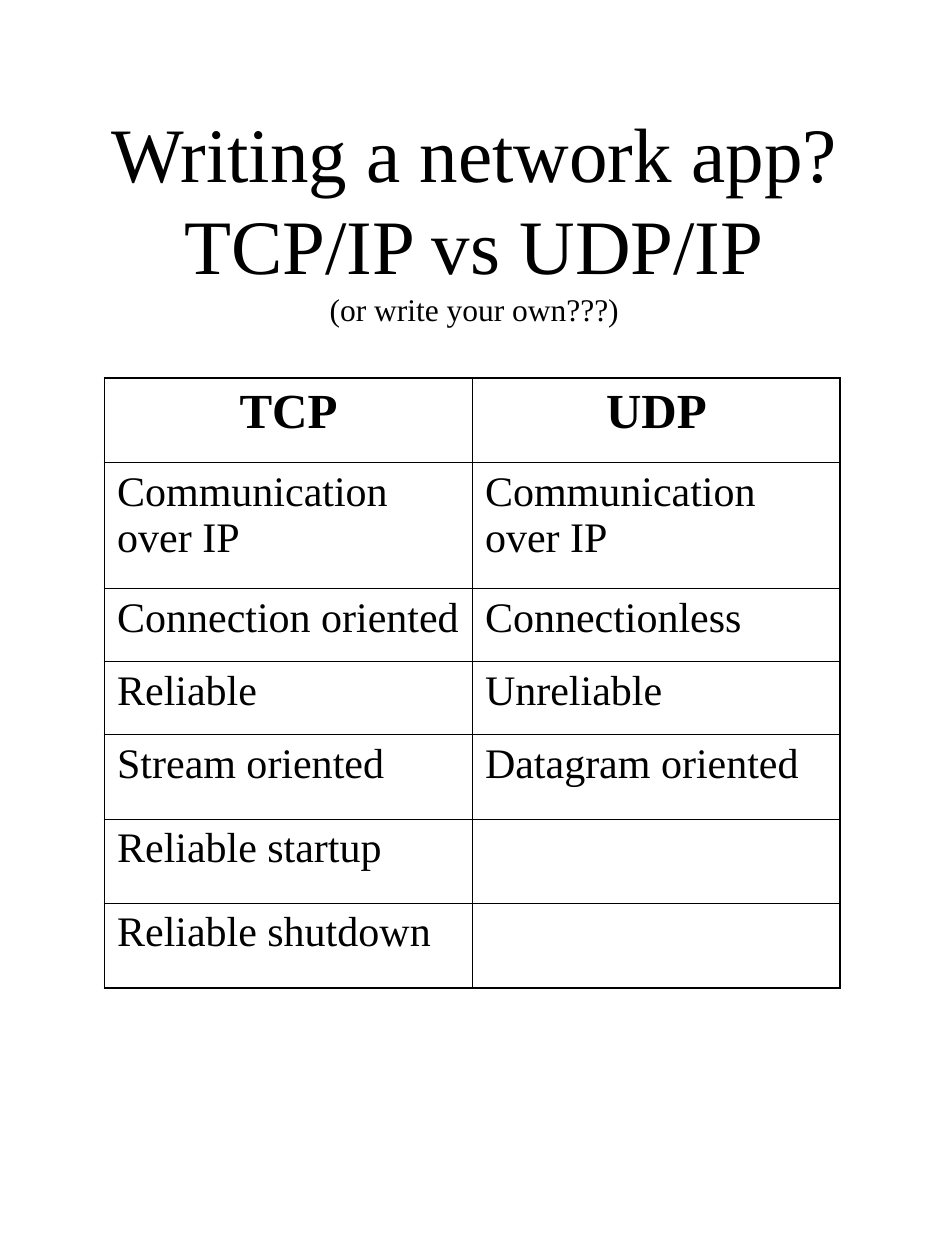
from lxml import etree
from pptx import Presentation
from pptx.dml.color import RGBColor
from pptx.enum.text import MSO_ANCHOR, PP_ALIGN
from pptx.oxml.ns import qn
from pptx.util import Inches, Pt

CENTER = PP_ALIGN.CENTER
LEFT = PP_ALIGN.LEFT
MIDDLE = MSO_ANCHOR.MIDDLE
BLACK = RGBColor(0, 0, 0)
FONT = "Times New Roman"
INNER_LINE = 0.45
OUTER_LINE = 1.08
BOTTOM_LINE = 1.47
COLUMN_WIDTH = 2.92
ROW_HEIGHTS = [0.67, 1, 0.58, 0.58, 0.67, 0.67, 0.67]
COMPARISON = [
    ("TCP", "UDP"),
    ("Communication over IP", "Communication over IP"),
    ("Connection oriented", "Connectionless"),
    ("Reliable", "Unreliable"),
    ("Stream oriented", "Datagram oriented"),
    ("Reliable startup", ""),
    ("Reliable shutdown", ""),
]


def style_font(font, size, bold=False):
    font.name = FONT
    font.size = Pt(size)
    font.bold = bold
    font.color.rgb = BLACK


def add_title(slide):
    title = slide.shapes.add_textbox(Inches(0.58), Inches(1.08), Inches(6.37), Inches(1.28))
    frame = title.text_frame
    frame.word_wrap = True
    frame.vertical_anchor = MIDDLE
    heading = frame.paragraphs[0]
    heading.text = "Writing a network app?\vTCP/IP vs UDP/IP\v"
    heading.alignment = CENTER
    style_font(heading.font, 44)
    for run in heading.runs:
        style_font(run.font, 44)
    aside = heading.add_run()
    aside.text = "(or write your own???)"
    style_font(aside.font, 18)


def set_borders(cell, widths):
    properties = cell._tc.get_or_add_tcPr()
    for position, (side, width) in enumerate(widths.items()):
        line = etree.Element(qn(f"a:ln{side}"), w=str(Pt(width)))
        fill = etree.SubElement(line, qn("a:solidFill"))
        etree.SubElement(fill, qn("a:srgbClr"), val=str(BLACK))
        properties.insert(position, line)


def fill_cell(cell, text, is_header):
    cell.fill.background()
    paragraph = cell.text_frame.paragraphs[0]
    paragraph.text = text
    paragraph.alignment = CENTER if is_header else LEFT
    size = 28 if is_header else 24
    style_font(paragraph.font, size, is_header)
    for run in paragraph.runs:
        style_font(run.font, size, is_header)


def add_comparison(slide):
    row_count, column_count = len(COMPARISON), len(COMPARISON[0])
    table = slide.shapes.add_table(
        row_count, column_count, Inches(0.83), Inches(3),
        Inches(COLUMN_WIDTH * column_count), Inches(sum(ROW_HEIGHTS)),
    ).table
    table.first_row = False
    table.horz_banding = False
    for column in table.columns:
        column.width = Inches(COLUMN_WIDTH)
    for r, (height, entries) in enumerate(zip(ROW_HEIGHTS, COMPARISON)):
        table.rows[r].height = Inches(height)
        for c, entry in enumerate(entries):
            cell = table.cell(r, c)
            fill_cell(cell, entry, r == 0)
            set_borders(cell, {
                "L": OUTER_LINE if c == 0 else INNER_LINE,
                "R": OUTER_LINE if c == column_count - 1 else INNER_LINE,
                "T": OUTER_LINE if r == 0 else INNER_LINE,
                "B": BOTTOM_LINE if r == row_count - 1 else INNER_LINE,
            })


def main():
    presentation = Presentation()
    presentation.slide_width = Inches(7.5)
    presentation.slide_height = Inches(10)
    slide = presentation.slides.add_slide(presentation.slide_layouts[6])
    add_title(slide)
    add_comparison(slide)
    presentation.save("out.pptx")


if __name__ == "__main__":
    main()
